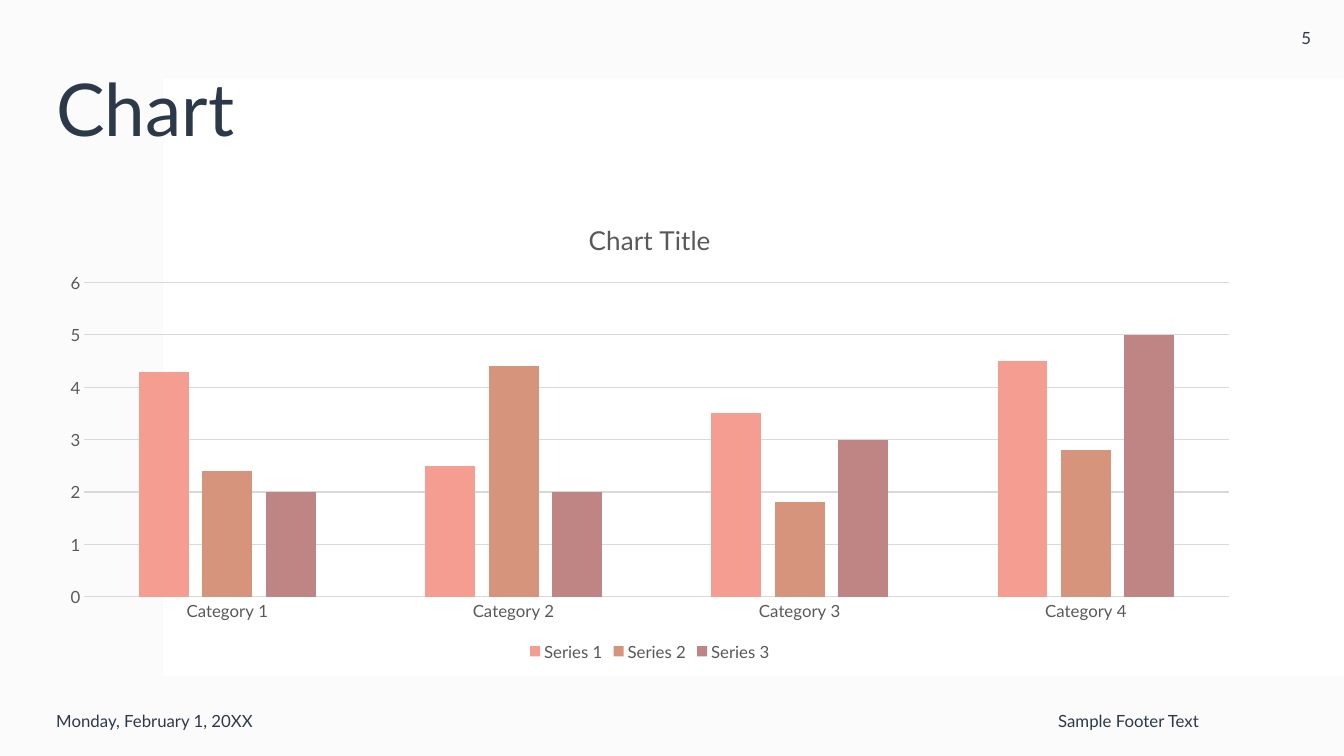
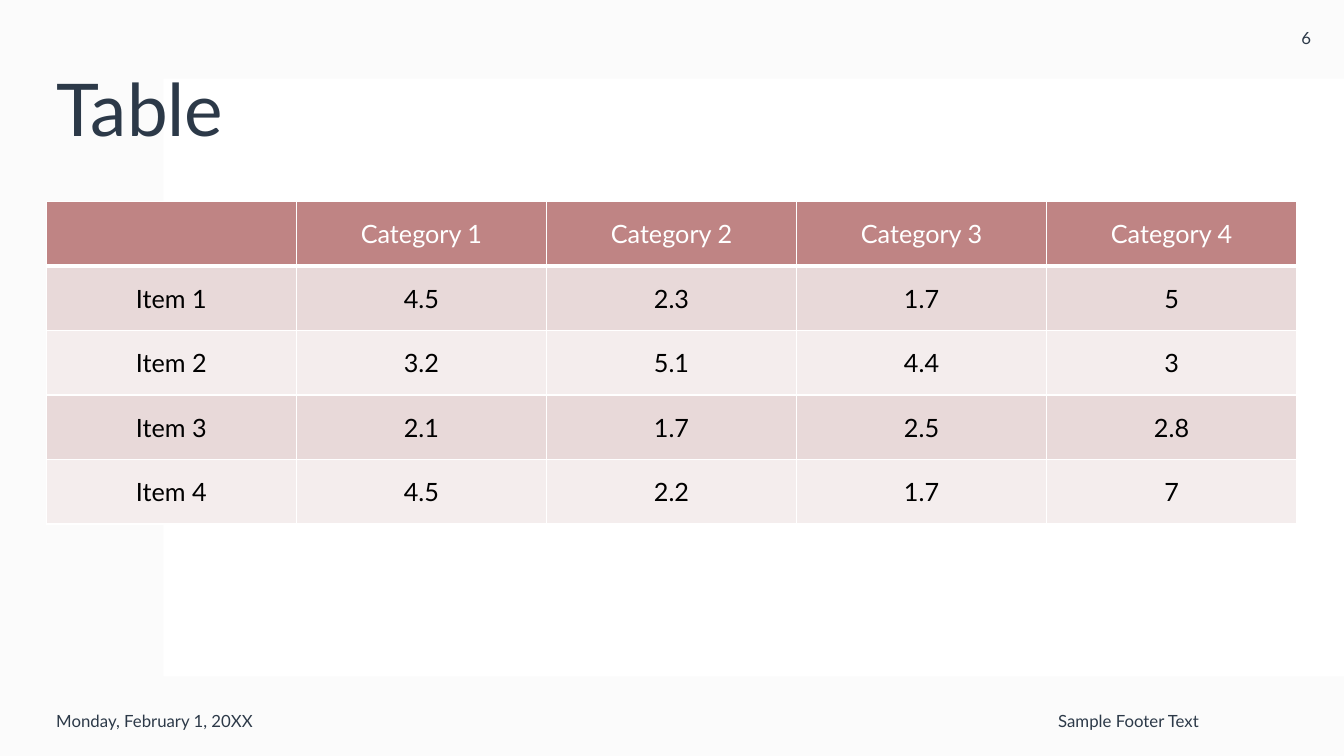
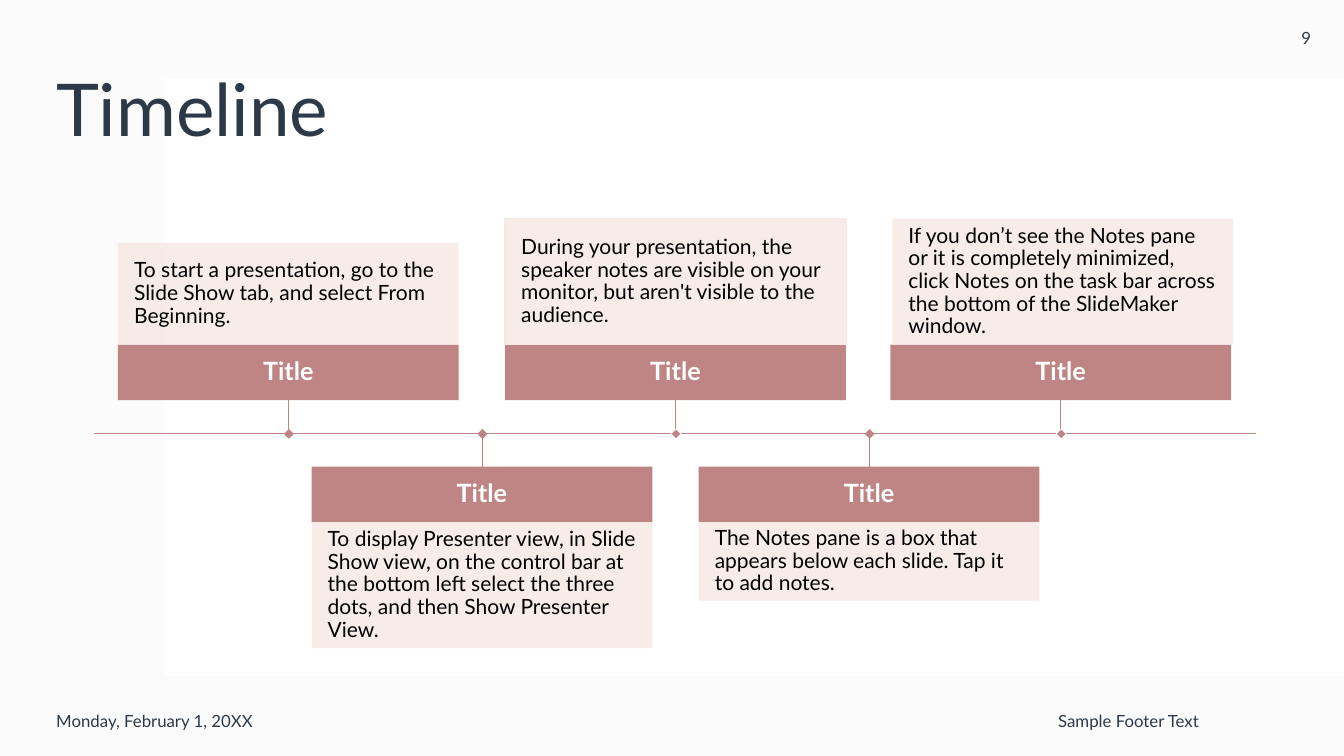
from dataclasses import dataclass
from typing import NamedTuple

from lxml.etree import SubElement
from pptx import Presentation
from pptx.chart.data import CategoryChartData
from pptx.dml.color import RGBColor
from pptx.enum.chart import XL_CHART_TYPE, XL_LEGEND_POSITION, XL_TICK_MARK
from pptx.enum.shapes import MSO_CONNECTOR, MSO_SHAPE
from pptx.enum.text import MSO_ANCHOR, PP_ALIGN
from pptx.oxml.ns import qn
from pptx.util import Emu, Pt

EMU_PER_PX = 9144
FONT = "Lato"
INK = "2C3948"
BLACK = "000000"
WHITE = "FFFFFF"
HAZE = "F4F4F4"
ROSE = "BF8484"
BLUSH = "F7EAE5"
BANDS = ("E8D9D9", "F4EDED")
SERIES_COLORS = ("F49D90", "D6947C", ROSE)
CHART_TEXT = "595959"
CHART_LINE = "D9D9D9"


class Box(NamedTuple):
    left: int
    top: int
    width: int
    height: int


@dataclass
class Event:
    text: str
    height: int
    shift: int = 0
    marker_edge: str = None
    text_edge: str = None


PAGE = Box(0, 0, 1333, 750)
PANEL = Box(162, 78, 1171, 593)
TITLE = Box(46, 40, 1153, 145)
DATE = Box(46, 680, 300, 70)
FOOTER = Box(412, 680, 787, 70)
NUMBER = Box(1258, 0, 75, 75)

CATEGORIES = [f"Category {number}" for number in range(1, 5)]
SERIES = {
    "Series 1": (4.3, 2.5, 3.5, 4.5),
    "Series 2": (2.4, 4.4, 1.8, 2.8),
    "Series 3": (2, 2, 3, 5),
}
ROWS = [
    ["", *CATEGORIES],
    ["Item 1", "4.5", "2.3", "1.7", "5"],
    ["Item 2", "3.2", "5.1", "4.4", "3"],
    ["Item 3", "2.1", "1.7", "2.5", "2.8"],
    ["Item 4", "4.5", "2.2", "1.7", "7"],
]
EVENTS = [
    Event("To start a presentation, go to the Slide Show tab, and select From Beginning.", 101),
    Event("To display Presenter view, in Slide Show view, on the control bar at the bottom left "
          "select the three dots, and then Show Presenter View.", 125),
    Event("During your presentation, the speaker notes are visible on your monitor, "
          "but aren't visible to the audience.", 125, marker_edge=WHITE, text_edge=BLUSH),
    Event("The Notes pane is a box that appears below each slide. Tap it to add notes.", 78),
    Event("If you don’t see the Notes pane or it is completely minimized, click Notes on the "
          "task bar across the bottom of the SlideMaker window.", 125, shift=-2, marker_edge=WHITE),
]


def px(length):
    return Emu(length * EMU_PER_PX)


def place(box):
    return [px(length) for length in box]


def color(value):
    return RGBColor.from_string(value)


def style_font(font, size, value, bold=False):
    font.name = FONT
    font.size = Pt(size)
    font.bold = bold
    font.color.rgb = color(value)


def write(shape, text, size, value, align=PP_ALIGN.LEFT, inset=None, spacing=None, bold=False):
    frame = shape.text_frame
    frame.word_wrap = True
    frame.vertical_anchor = MSO_ANCHOR.MIDDLE
    if inset is not None:
        frame.margin_left = frame.margin_right = px(inset)
        frame.margin_top = frame.margin_bottom = px(inset)
    para = frame.paragraphs[0]
    para.text = text
    para.alignment = align
    if spacing:
        para.line_spacing = spacing
    style_font(para.font, size, value, bold)


def add_label(page, box, text, size=12, align=PP_ALIGN.LEFT, spacing=None):
    write(page.shapes.add_textbox(*place(box)), text, size, INK, align, spacing=spacing)


def add_rect(page, box, fill, opacity=100, edge=None, edge_width=1):
    shape = page.shapes.add_shape(MSO_SHAPE.RECTANGLE, *place(box))
    shape.shadow.inherit = False
    shape.fill.solid()
    shape.fill.fore_color.rgb = color(fill)
    if opacity < 100:
        paint = shape._element.spPr.find(qn("a:solidFill"))[0]
        SubElement(paint, qn("a:alpha"), val=str(opacity * 1000))
    if edge:
        shape.line.color.rgb = color(edge)
        shape.line.width = Pt(edge_width)
    else:
        shape.line.fill.background()
    return shape


def add_line(page, start, end, width):
    line = page.shapes.add_connector(MSO_CONNECTOR.STRAIGHT, *place((*start, *end)))
    line.line.color.rgb = color(ROSE)
    line.line.width = Pt(width)
    SubElement(line._element.spPr, qn("a:effectLst"))


def add_page(deck, title, number):
    page = deck.slides.add_slide(deck.slide_layouts[6])
    add_rect(page, PAGE, HAZE, opacity=35)
    add_rect(page, PANEL, WHITE)
    add_label(page, TITLE, title, 52, spacing=0.9)
    add_label(page, DATE, "Monday, February 1, 20XX")
    add_label(page, FOOTER, "Sample Footer Text", align=PP_ALIGN.RIGHT)
    add_label(page, NUMBER, str(number), align=PP_ALIGN.CENTER)
    return page


def style_grid_line(line):
    line.color.rgb = color(CHART_LINE)
    line.width = Pt(0.75)


def add_column_chart(page, box):
    data = CategoryChartData()
    data.categories = CATEGORIES
    for name, values in SERIES.items():
        data.add_series(name, values)
    chart = page.shapes.add_chart(XL_CHART_TYPE.COLUMN_CLUSTERED, *place(box), data).chart
    style_font(chart.font, 12, CHART_TEXT)

    chart.has_title = True
    chart.chart_title.include_in_layout = False
    heading = chart.chart_title.text_frame.paragraphs[0]
    heading.text = "Chart Title"
    style_font(heading.font, 18.6, CHART_TEXT)

    chart.has_legend = True
    chart.legend.position = XL_LEGEND_POSITION.BOTTOM
    chart.legend.include_in_layout = False
    style_font(chart.legend.font, 12, CHART_TEXT)

    for axis in (chart.category_axis, chart.value_axis):
        axis.major_tick_mark = axis.minor_tick_mark = XL_TICK_MARK.NONE
        style_font(axis.tick_labels.font, 12, CHART_TEXT)
    style_grid_line(chart.category_axis.format.line)
    scale = chart.value_axis
    scale.minimum_scale, scale.maximum_scale, scale.major_unit = 0, 6, 1
    scale.format.line.fill.background()
    style_grid_line(scale.major_gridlines.format.line)

    plot = chart.plots[0]
    plot.gap_width, plot.overlap = 219, -27
    plot.vary_by_categories = False
    for series, value in zip(plot.series, SERIES_COLORS):
        series.format.fill.solid()
        series.format.fill.fore_color.rgb = color(value)


def add_cell_borders(cell, bottom_width):
    properties = cell._tc.get_or_add_tcPr()
    for side, width in (("L", 1), ("R", 1), ("T", 1), ("B", bottom_width)):
        border = SubElement(properties, qn(f"a:ln{side}"), w=str(Pt(width)))
        SubElement(SubElement(border, qn("a:solidFill")), qn("a:srgbClr"), val=WHITE)


def add_item_table(page, box):
    table = page.shapes.add_table(len(ROWS), len(ROWS[0]), *place(box)).table
    table.horz_banding = table.first_row = False
    for column in table.columns:
        column.width = px(box.width // len(ROWS[0]))
    for row_index, texts in enumerate(ROWS):
        table.rows[row_index].height = px(box.height // len(ROWS))
        is_header = row_index == 0
        fill = ROSE if is_header else BANDS[(row_index - 1) % 2]
        for column_index, text in enumerate(texts):
            cell = table.cell(row_index, column_index)
            add_cell_borders(cell, 3 if is_header else 1)
            cell.fill.solid()
            cell.fill.fore_color.rgb = color(fill)
            cell.vertical_anchor = MSO_ANCHOR.MIDDLE
            para = cell.text_frame.paragraphs[0]
            para.text = text
            para.alignment = PP_ALIGN.CENTER
            style_font(para.font, 18, WHITE if is_header else BLACK)


def add_event(page, event, left, axis, above):
    width, header_height, stem, marker = 338, 55, 33, 7
    if above:
        header_top = axis - stem - header_height
        text_top = header_top - event.height
        stem_end = axis - stem
    else:
        header_top = stem_end = axis + stem
        text_top = header_top + header_height
    header_left = left + event.shift
    center = header_left + width // 2

    header = add_rect(page, Box(header_left, header_top, width, header_height), ROSE)
    write(header, "Title", 18, WHITE, PP_ALIGN.CENTER, 10, 0.9, bold=True)
    description = add_rect(page, Box(left, text_top, width, event.height), BLUSH, 90, event.text_edge)
    write(description, event.text, 15, BLACK, inset=16, spacing=0.9)
    add_line(page, (center, axis), (center, stem_end), 0.5)
    corner = (center - marker // 2, axis - marker // 2)
    diamond = add_rect(page, Box(*corner, marker, marker), ROSE, edge=event.marker_edge, edge_width=0.5)
    diamond.rotation = 45


def add_timeline(page, box):
    axis = box.top + box.height // 2
    add_line(page, (box.left, axis), (box.left + box.width, axis), 1)
    for index, event in enumerate(EVENTS):
        add_event(page, event, box.left + 24 + 192 * index, axis, above=index % 2 == 0)


def main():
    deck = Presentation()
    deck.slide_width, deck.slide_height = px(PAGE.width), px(PAGE.height)
    add_column_chart(add_page(deck, "Chart", 5), Box(46, 200, 1197, 460))
    add_item_table(add_page(deck, "Table", 6), Box(46, 200, 1240, 320))
    add_timeline(add_page(deck, "Timeline", 9), Box(93, 217, 1153, 426))
    deck.save("out.pptx")


if __name__ == "__main__":
    main()
